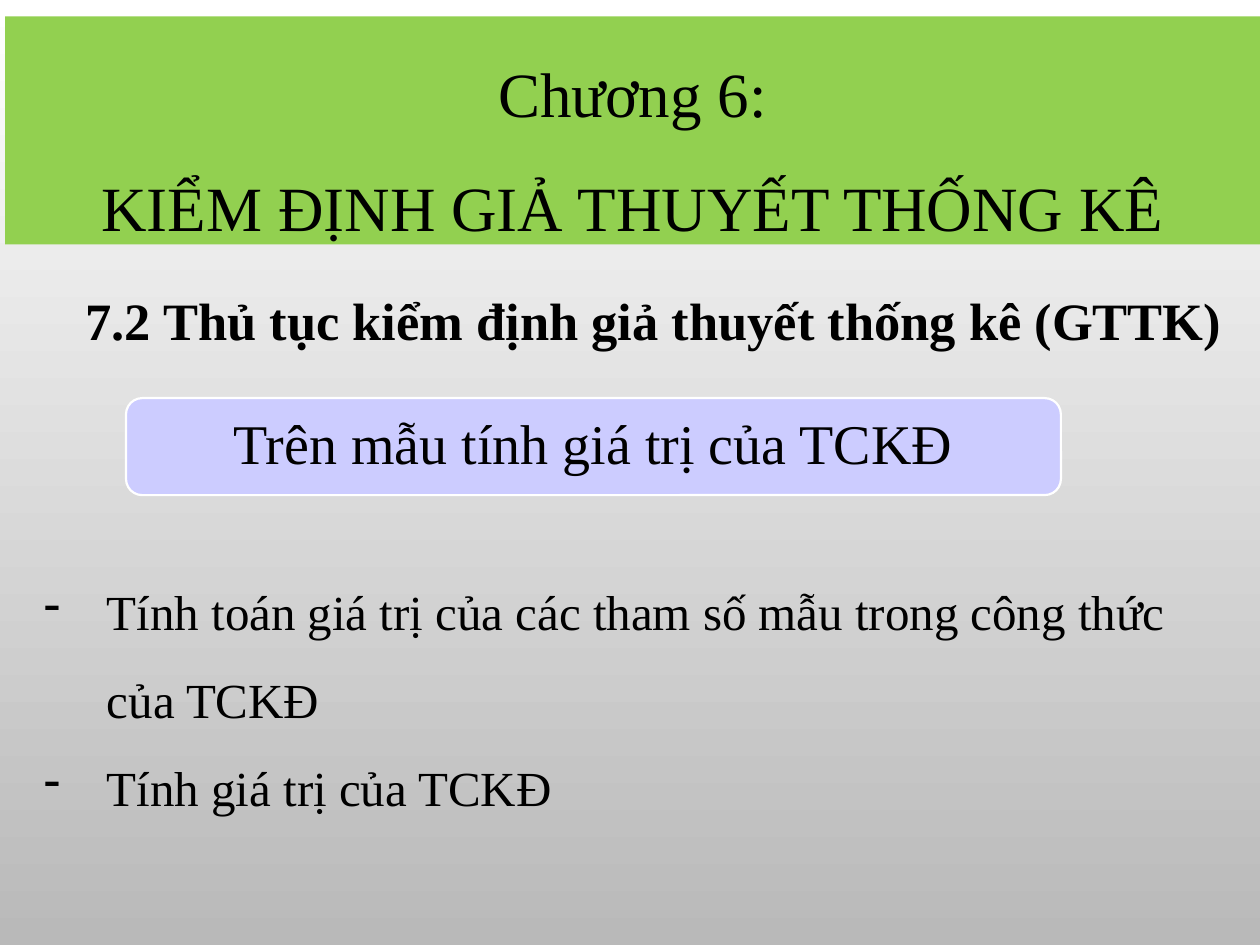
import pptx
import pptx.util
import pptx.dml.color
import pptx.enum.shapes
import pptx.enum.text
from lxml import etree

Inches, Pt = pptx.util.Inches, pptx.util.Pt
SHAPE = pptx.enum.shapes.MSO_SHAPE
ALIGN = pptx.enum.text.PP_ALIGN
GROW = pptx.enum.text.MSO_AUTO_SIZE.SHAPE_TO_FIT_TEXT
MIDDLE = pptx.enum.text.MSO_ANCHOR.MIDDLE

HUES = {"top": "FFFFFF", "base": "B9B9B9", "text": "000000",
        "band": "92D050", "step": "CCCCFF", "edge": "FFFFFF"}


def hue(name):
    return pptx.dml.color.RGBColor.from_string(HUES[name])


def apply(item, form):
    for key, value in form.items():
        setattr(item, key, value)


def paint(slide):
    """Fill the background from top to base."""
    fill = slide.background.fill
    fill.gradient()
    fill.gradient_angle = 270
    for stop, name, pos in zip(fill.gradient_stops, ("top", "base"), (0, 1)):
        stop.color.rgb = hue(name)
        stop.position = pos


def indent(para, left, first, mark=None):
    """Set margin and first-line indent, with an optional bullet."""
    props = para._p.get_or_add_pPr()
    props.set("marL", str(Inches(left)))
    props.set("indent", str(Inches(first)))
    if mark:
        tag = pptx.oxml.ns.qn("a:buChar")
        etree.SubElement(props, tag).set("char", mark)


def write(frame, lines, size, form, bold=False, inset=None, **box):
    """Write one paragraph per line; a newline inside it is a line break."""
    apply(frame, {"word_wrap": True, "vertical_anchor": MIDDLE, **box})
    for num, line in enumerate(lines):
        para = frame.add_paragraph() if num else frame.paragraphs[0]
        para.text = line
        apply(para, form)
        if inset:
            indent(para, *inset)
        for run in para.runs:
            apply(run.font, {"name": "Times New Roman", "size": Pt(size),
                             "bold": bold})
            run.font.color.rgb = hue("text")


def add_block(slide, kind, area, fill, edge=None):
    block = slide.shapes.add_shape(kind, *map(Inches, area))
    block.shadow.inherit = False
    block.fill.solid()
    block.fill.fore_color.rgb = hue(fill)
    if edge:
        block.line.color.rgb = hue(edge)
        block.line.width = Pt(1.25)
    else:
        block.line.fill.background()
    return block


def add_text(slide, area, *args, **form):
    box = slide.shapes.add_textbox(*map(Inches, area))
    write(box.text_frame, *args, **form)


def main():
    deck = pptx.Presentation()
    apply(deck, {"slide_width": Inches(10), "slide_height": Inches(7.5)})
    slide = deck.slides.add_slide(deck.slide_layouts[6])
    paint(slide)
    center = {"alignment": ALIGN.CENTER}
    wide = {"line_spacing": 1.5}

    # Step box
    step = add_block(slide, SHAPE.ROUNDED_RECTANGLE,
                     (1, 3.16, 7.42, 0.77), "step", "edge")
    write(step.text_frame, ["Trên mẫu tính giá trị của TCKĐ"], 32,
          {**center, "line_spacing": 0.9})

    # Bullets
    add_text(slide, (0.25, 4.33, 9.11, 2.14),
             ["Tính toán giá trị của các tham số mẫu trong công thức của TCKĐ",
              "Tính giá trị của TCKĐ"],
             28, wide, inset=(0.5, -0.5, "-"), auto_size=GROW,
             vertical_anchor=pptx.enum.text.MSO_ANCHOR.TOP)

    # Section heading
    add_text(slide, (0.08, 2.03, 9.83, 0.77),
             ["7.2 Thủ tục kiểm định giả thuyết thống kê (GTTK)"],
             30, wide, bold=True, inset=(0, 0.5), auto_size=GROW)

    # Chapter band
    band = add_block(slide, SHAPE.RECTANGLE, (0.04, 0.13, 9.96, 1.81), "band")
    write(band.text_frame, ["Chương 6:\nKIỂM ĐỊNH GIẢ THUYẾT THỐNG KÊ"], 36,
          {**center, **wide}, auto_size=GROW)

    deck.save("out.pptx")


if __name__ == "__main__":
    main()
